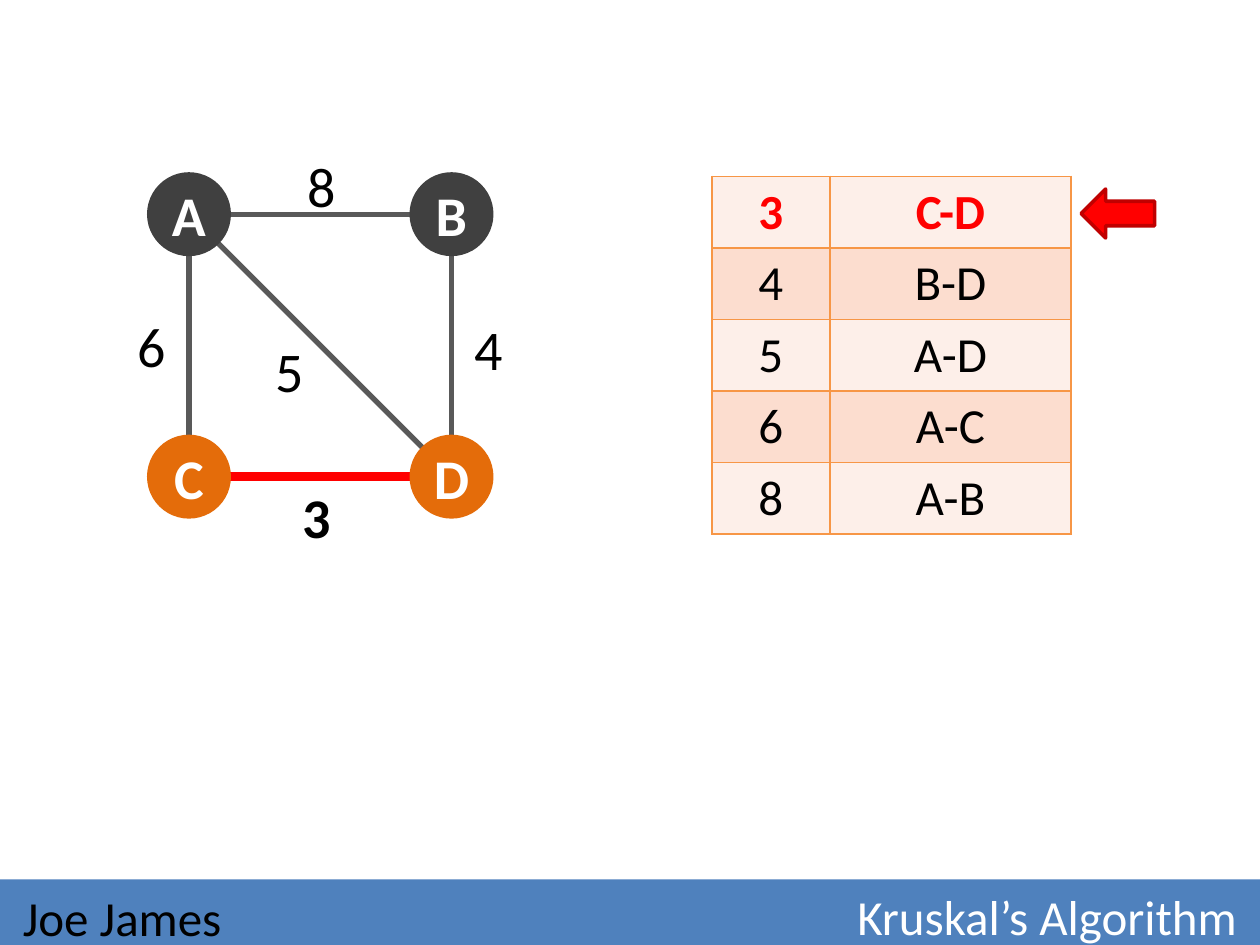
from lxml import etree
from pptx import Presentation
from pptx.dml.color import RGBColor
from pptx.enum import shapes, text
from pptx.oxml import ns
from pptx.util import Pt

HUES = {
    "bar": "4F81BD", "white": "FFFFFF", "black": "000000", "edge": "595959",
    "red": "FF0000", "dark": "404040", "orange": "E46C0A", "rim": "C00000",
    "grid": "F79646", "light": "FDEFE9", "band": "FCDDCF",
}
COL = {name: RGBColor.from_string(hue) for name, hue in HUES.items()}


def write(frame, words, size, hue, bold=False, align=text.PP_ALIGN.LEFT):
    para = frame.paragraphs[0]
    para.alignment = align
    run = para.add_run()
    run.text = words
    run.font.name = "Calibri"
    run.font.size = Pt(size)
    run.font.bold = bold
    run.font.color.rgb = COL[hue]


def border(cell):
    """Draw a thin line on all four sides of a cell, placed before its fill."""
    props = cell._tc.get_or_add_tcPr()
    for i, side in enumerate(("lnL", "lnR", "lnT", "lnB")):
        line = etree.Element(ns.qn(f"a:{side}"), w=str(Pt(1)))
        fill = etree.SubElement(line, ns.qn("a:solidFill"))
        etree.SubElement(fill, ns.qn("a:srgbClr"), val=HUES["grid"])
        props.insert(i, line)


prs = Presentation()
prs.slide_width, prs.slide_height = Pt(720), Pt(540)
slide = prs.slides.add_slide(prs.slide_layouts[5])
items = slide.shapes

# Footer bar, with the title and the author on it
bar = items.add_shape(shapes.MSO_SHAPE.RECTANGLE, Pt(0), Pt(502.5), Pt(720), Pt(37.5))
bar.shadow.inherit = False
bar.fill.solid()
bar.fill.fore_color.rgb = COL["bar"]
bar.line.fill.background()
items._spTree.insert(2, bar._element)

title = items.title
title.left, title.top, title.width, title.height = Pt(216), Pt(502.5), Pt(498), Pt(42)
author = items.add_textbox(Pt(6), Pt(502.5), Pt(210), Pt(43.2))
for box, words, hue, align in (
    (title, "Kruskal’s Algorithm", "white", text.PP_ALIGN.RIGHT),
    (author, "Joe James", "black", text.PP_ALIGN.LEFT),
):
    frame = box.text_frame
    frame.word_wrap = True
    frame.auto_size = text.MSO_AUTO_SIZE.NONE
    frame.vertical_anchor = text.MSO_ANCHOR.MIDDLE
    write(frame, words, 28, hue, align=align)

# Graph: edges run from centre to centre, under the nodes
LEFT, TOP, GAP, SIZE = 108, 122.4, 150, 48
nodes = {
    "A": (LEFT, TOP, "dark"),
    "B": (LEFT + GAP, TOP, "dark"),
    "C": (LEFT, TOP + GAP, "orange"),
    "D": (LEFT + GAP, TOP + GAP, "orange"),
}
for ends in ("AB", "BD", "AD", "AC", "CD"):
    (x1, y1, _), (x2, y2, _) = (nodes[end] for end in ends)
    edge = items.add_connector(
        shapes.MSO_CONNECTOR.STRAIGHT, Pt(x1), Pt(y1), Pt(x2), Pt(y2))
    chosen = ends == "CD"
    edge.line.color.rgb = COL["red" if chosen else "edge"]
    edge.line.width = Pt(5 if chosen else 3)
    etree.SubElement(edge._element.spPr, ns.qn("a:effectLst"))

for name, (x, y, hue) in nodes.items():
    node = items.add_shape(
        shapes.MSO_SHAPE.OVAL, Pt(x - SIZE / 2), Pt(y - SIZE / 2), Pt(SIZE), Pt(SIZE))
    node.shadow.inherit = False
    node.fill.solid()
    node.fill.fore_color.rgb = COL[hue]
    node.line.fill.background()
    frame = node.text_frame
    frame.margin_left = frame.margin_right = frame.margin_top = frame.margin_bottom = 0
    frame.word_wrap = False
    frame.vertical_anchor = text.MSO_ANCHOR.MIDDLE
    write(frame, name, 32, "white", True, text.PP_ALIGN.CENTER)

for cost, x, y in (
    ("6", 71.3, 174.2), ("5", 150.5, 188.6), ("8", 168.5, 82.8),
    ("3", 165.6, 272.2), ("4", 264.2, 176.4),
):
    label = items.add_textbox(Pt(x), Pt(y), Pt(70.5), Pt(46))
    label.text_frame.word_wrap = True
    label.text_frame.auto_size = text.MSO_AUTO_SIZE.SHAPE_TO_FIT_TEXT
    write(label.text_frame, cost, 32, "black", cost == "3")

# Edges sorted by cost, the current one in red
rows = (("3", "C-D"), ("4", "B-D"), ("5", "A-D"), ("6", "A-C"), ("8", "A-B"))
table = items.add_table(len(rows), 2, Pt(406.8), Pt(100.8), Pt(205.2), Pt(204)).table
table.first_row = table.horz_banding = False
for col, width in zip(table.columns, (67.4, 137.8)):
    col.width = Pt(width)
for r, row in enumerate(rows):
    table.rows[r].height = Pt(40.8)
    for c, words in enumerate(row):
        cell = table.cell(r, c)
        cell.fill.solid()
        cell.fill.fore_color.rgb = COL["band" if r % 2 else "light"]
        border(cell)
        write(cell.text_frame, words, 28, "black" if r else "red", r == 0,
              text.PP_ALIGN.CENTER)

arrow = items.add_shape(shapes.MSO_SHAPE.RIGHT_ARROW, Pt(617.8), Pt(108), Pt(42), Pt(28))
arrow.rotation = 180
arrow.shadow.inherit = False
arrow.fill.solid()
arrow.fill.fore_color.rgb = COL["red"]
arrow.line.color.rgb = COL["rim"]
arrow.line.width = Pt(2)

prs.save("out.pptx")
